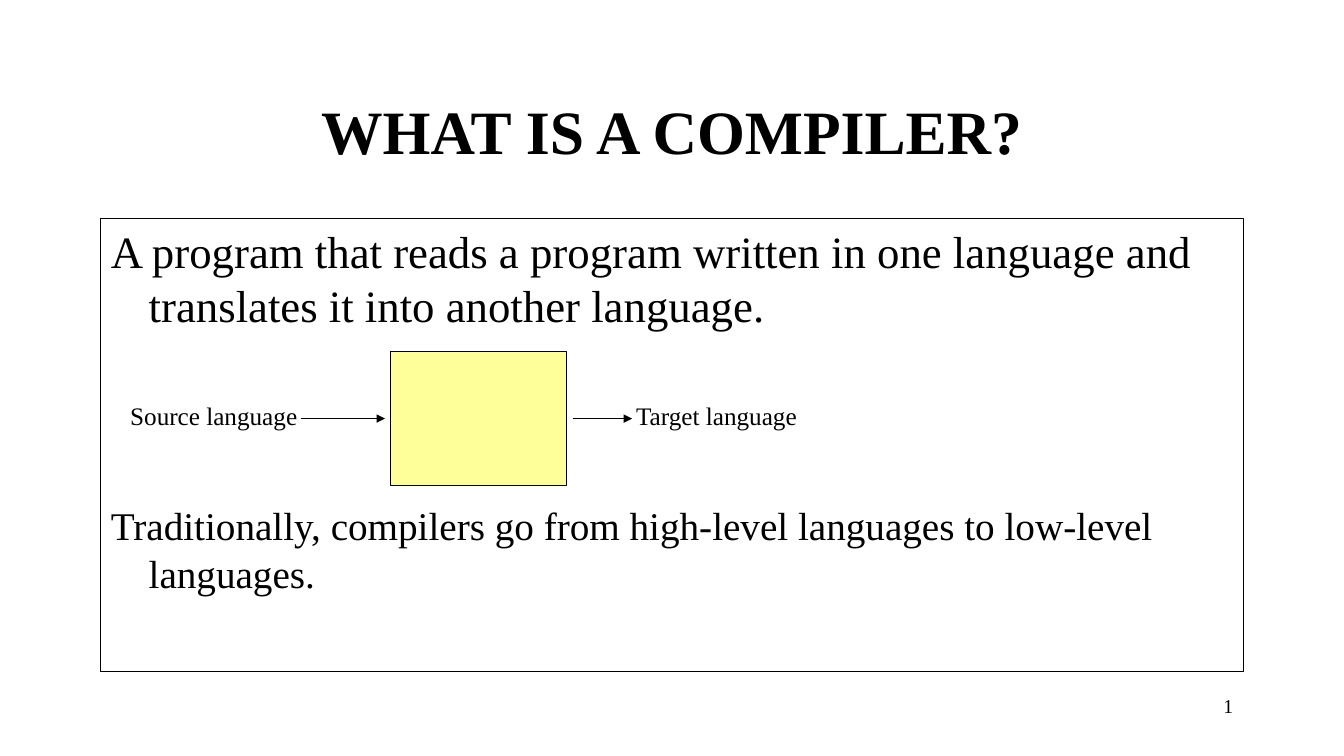
from pptx import Presentation
from pptx.dml.color import RGBColor
from pptx.enum.shapes import MSO_CONNECTOR as LINK, MSO_SHAPE as SHAPE
from pptx.enum.text import MSO_ANCHOR as ANCHOR, MSO_AUTO_SIZE as FIT, PP_ALIGN as ALIGN
from pptx.oxml.ns import qn
from pptx.util import Pt
from lxml import etree

FONT = "Times New Roman"
BLACK = RGBColor(0, 0, 0)
YELLOW = RGBColor(0xFF, 0xFF, 0x99)

# Content
TITLE = "WHAT IS A COMPILER?"
BODY = [  # text, size, space before
    ("A program that reads a program written in one language and "
     "translates it into another language.", 32, 6.4),
    ("Traditionally, compilers go from high-level languages to "
     "low-level languages.", 28, 122),
]
LABELS = [("Source language", 93), ("Target language", 454.4)]  # text, left
ARROWS = [(215, 275), (409, 451.5)]  # from x, to x
NUMBER = "1"

# Layout: left, top, width, height
HEAD = (72, 48, 816, 90)
FRAME = (72, 156, 816, 324)
BOX = (279, 251, 126, 96)
FOOT = (688, 492, 200, 36)
MID = BOX[1] + BOX[3] / 2

deck = Presentation()
deck.slide_width, deck.slide_height = Pt(960), Pt(540)
slide = deck.slides.add_slide(deck.slide_layouts[1])
shapes = slide.shapes


def write(par, text, size=18, bold=False, align=ALIGN.LEFT, before=0, hang=0):
    par.alignment = align
    par.space_before = Pt(before)
    props = par._p.get_or_add_pPr()
    props.set("marL", str(Pt(hang)))
    props.set("indent", str(-Pt(hang)))
    etree.SubElement(props, qn("a:buNone"))
    run = par.add_run()
    run.text = text
    font = run.font
    font.name, font.size, font.bold = FONT, Pt(size), bold
    font.color.rgb = BLACK


def place(item, area, anchor=ANCHOR.TOP):
    item.left, item.top, item.width, item.height = map(Pt, area)
    frame = item.text_frame
    frame.auto_size = FIT.NONE
    frame.word_wrap = True
    frame.vertical_anchor = anchor
    return frame


def edge(item):
    item.line.color.rgb = BLACK
    item.line.width = Pt(0.75)


# Title
frame = place(shapes.title, HEAD, ANCHOR.MIDDLE)
write(frame.paragraphs[0], TITLE, size=44, bold=True, align=ALIGN.CENTER)

# Framed body
body = slide.placeholders[1]
frame = place(body, FRAME)
edge(body)
for i, (text, size, gap) in enumerate(BODY):
    par = frame.add_paragraph() if i else frame.paragraphs[0]
    write(par, text, size=size, before=gap, hang=27)

# Compiler box
box = shapes.add_shape(SHAPE.RECTANGLE, *map(Pt, BOX))
box.shadow.inherit = False
box.fill.solid()
box.fill.fore_color.rgb = YELLOW
edge(box)

# Language labels
for text, left in LABELS:
    area = (left, MID - 14, 130, 24)
    label = shapes.add_textbox(*map(Pt, area))
    frame = place(label, area, ANCHOR.MIDDLE)
    frame.margin_left = frame.margin_right = 0
    write(frame.paragraphs[0], text)

# Arrows
for start, end in ARROWS:
    arrow = shapes.add_connector(LINK.STRAIGHT, Pt(start), Pt(MID), Pt(end), Pt(MID))
    edge(arrow)
    etree.SubElement(arrow.line._get_or_add_ln(), qn("a:tailEnd"), type="triangle")
    etree.SubElement(arrow._element.spPr, qn("a:effectLst"))

# Slide number
foot = shapes.add_textbox(*map(Pt, FOOT))
write(place(foot, FOOT).paragraphs[0], NUMBER, size=14, align=ALIGN.RIGHT)

deck.save("out.pptx")
